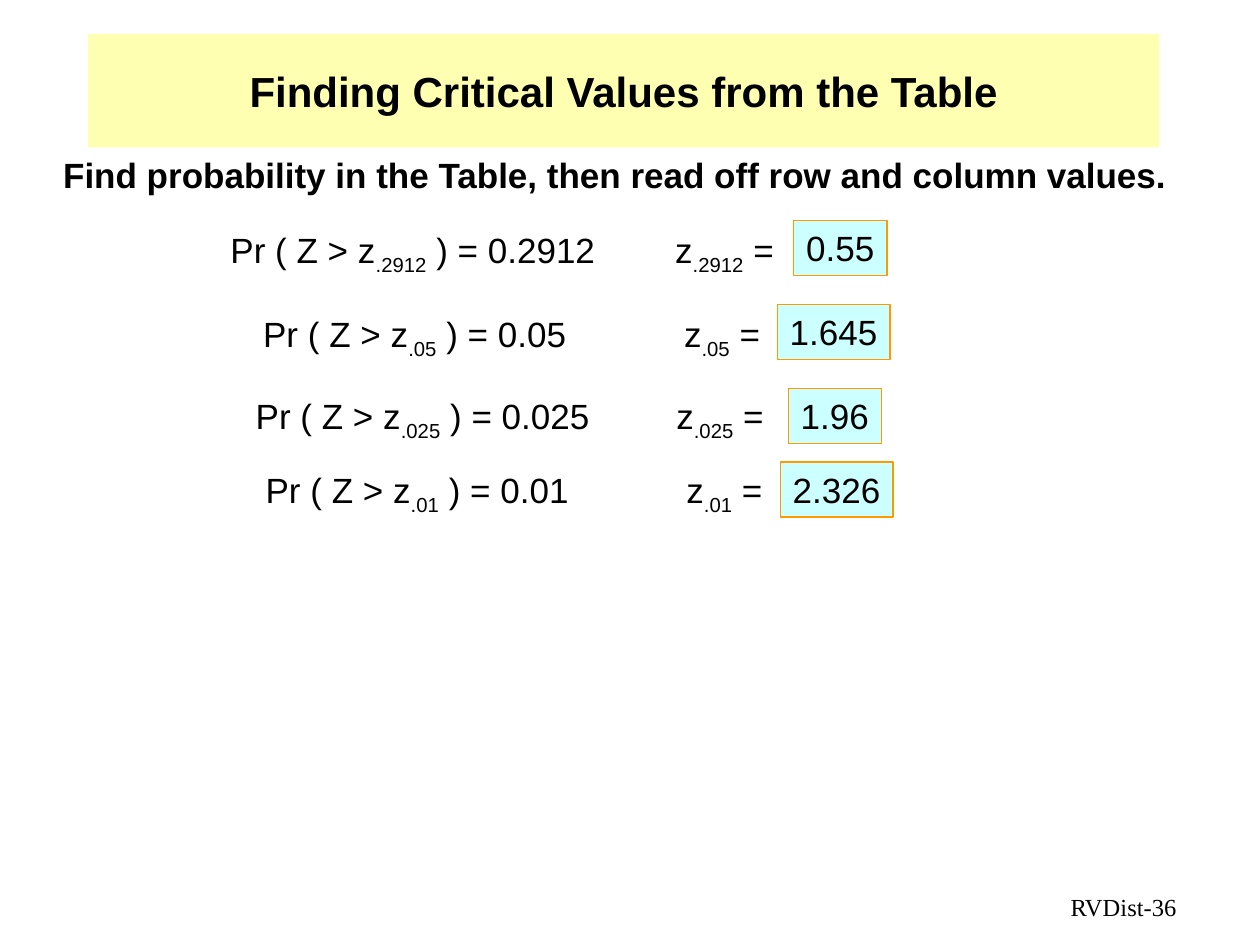
from pptx import Presentation
from pptx.dml.color import RGBColor
from pptx.enum.shapes import MSO_SHAPE as Shape
from pptx.enum.text import MSO_ANCHOR as Anchor, MSO_AUTO_SIZE as Fit, PP_ALIGN as Align
from pptx.oxml.ns import qn
from pptx.util import Pt
from lxml import etree

BLACK = RGBColor(0x00, 0x00, 0x00)
YELLOW = RGBColor(0xFF, 0xFF, 0x66)
CYAN = RGBColor(0xCC, 0xFF, 0xFF)
ORANGE = RGBColor(0xFF, 0x99, 0x00)

BODY = {"name": "Arial", "size": Pt(20), "bold": False}
LEAD = {**BODY, "bold": True}
HEAD = {**LEAD, "size": Pt(24)}
FOOT = {**BODY, "name": "Times New Roman", "size": Pt(14)}


def write(shape, parts, style, align=Align.LEFT):
    """Fill a shape with runs; a part that starts with a dot is a subscript."""
    frame = shape.text_frame
    frame.word_wrap = True
    frame.auto_size = Fit.NONE
    frame.vertical_anchor = Anchor.TOP
    if align == Align.LEFT:
        frame.margin_right = 0  # spare room keeps each line whole
    para = frame.paragraphs[0]
    para.alignment = align
    for part in parts:
        run = para.add_run()
        run.text = part
        for key, value in style.items():
            setattr(run.font, key, value)
        run.font.color.rgb = BLACK
        if part.startswith("."):
            run._r.get_or_add_rPr().set("baseline", "-25000")


def label(left, top, width, height, parts, style, align=Align.LEFT):
    box = slide.shapes.add_textbox(Pt(left), Pt(top), Pt(width), Pt(height))
    write(box, parts, style, align)


deck = Presentation()
deck.slide_width, deck.slide_height = Pt(720), Pt(540)
slide = deck.slides.add_slide(deck.slide_layouts[5])

# Title on a half-transparent yellow band
title = slide.shapes.title
title.left, title.top, title.width, title.height = Pt(50.4), Pt(19.4), Pt(612), Pt(64.8)
title.fill.solid()
title.fill.fore_color.rgb = YELLOW
tint = title.fill._xPr.find(".//" + qn("a:srgbClr"))
etree.SubElement(tint, qn("a:alpha")).set("val", "50000")
write(title, ["Finding Critical Values from the Table"], HEAD, Align.CENTER)
title.text_frame.vertical_anchor = Anchor.MIDDLE

# Instruction
label(29, 84.2, 646.6, 31.7,
      ["Find probability in the Table, then read off row and column values."], LEAD)

# Rows: subscript, answer, label top, box top, then left and width of each part
rows = [
    (".2912", "0.55", 126.9, 126, (124.6, 222.5), (378.7, 70.6), (453.6, 53.3)),
    (".05", "1.645", 175, 174, (143.3, 187.2), (383.8, 57.6), (444.2, 64.4)),
    (".025", "1.96", 221.8, 221.8, (139, 205.2), (379.4, 64.1), (450.5, 53.3)),
    (".01", "2.326", 264.2, 264, (144.7, 187.2), (385.2, 57.6), (445.9, 64.4)),
]
for sub, answer, top, edge, prob, crit, cell in rows:
    label(prob[0], top, prob[1], 34.6, ["Pr ( Z > z", sub, f" ) = 0{sub}"], BODY)
    label(crit[0], top, crit[1], 34.6, ["z", sub, " ="], BODY)
    box = slide.shapes.add_shape(Shape.RECTANGLE, Pt(cell[0]), Pt(edge), Pt(cell[1]), Pt(31.5))
    box.shadow.inherit = False
    box.fill.solid()
    box.fill.fore_color.rgb = CYAN
    box.line.color.rgb = ORANGE
    box.line.width = Pt(0.75)
    write(box, [answer], BODY)

# Page label
label(516, 506.4, 163.4, 21.6, ["RVDist-36"], FOOT, Align.RIGHT)

deck.save("out.pptx")
